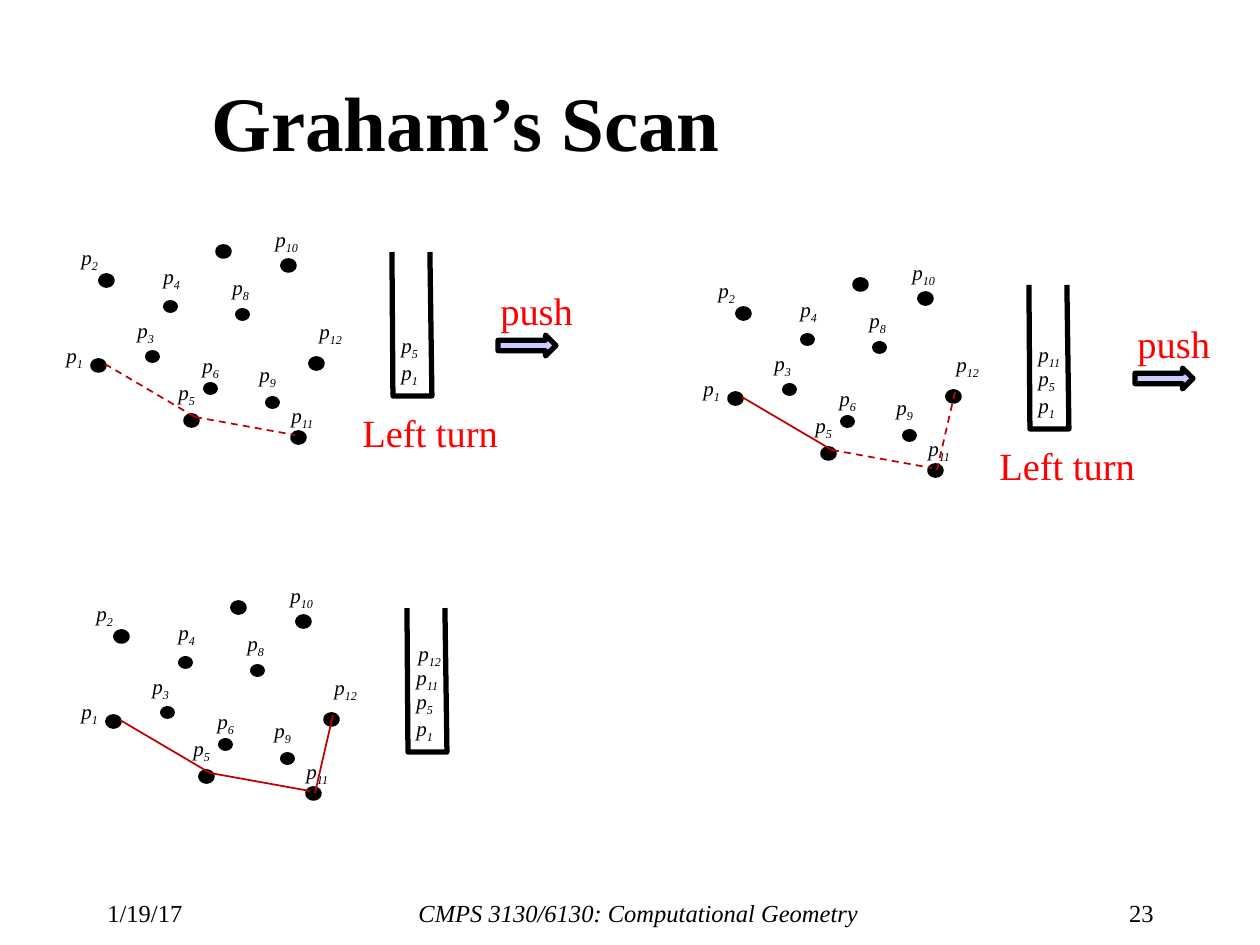
import pptx
import pptx.util
import pptx.dml.color
import pptx.enum.dml
import pptx.enum.shapes
import pptx.enum.text
import pptx.oxml.ns
import lxml.etree

PX = 914400 / 126
BLACK = pptx.dml.color.RGBColor(0x00, 0x00, 0x00)
RED = pptx.dml.color.RGBColor(0xFF, 0x00, 0x00)
CRIMSON = pptx.dml.color.RGBColor(0xC0, 0x00, 0x00)
LAVENDER = pptx.dml.color.RGBColor(0xCC, 0xCC, 0xFF)
ALIGN = pptx.enum.text.PP_ALIGN
ANCHOR = pptx.enum.text.MSO_ANCHOR
SHAPE = pptx.enum.shapes.MSO_SHAPE


def px(*lengths):
    return [pptx.util.Emu(round(length * PX)) for length in lengths]


def write(text, left, top, width, height, size=12, color=BLACK, bold=False, italic=False,
          subscript="", align=ALIGN.LEFT, anchor=ANCHOR.TOP, wrap=False):
    frame = slide.shapes.add_textbox(*px(left, top, width, height)).text_frame
    frame.word_wrap = wrap
    frame.vertical_anchor = anchor
    if not wrap:
        frame.auto_size = pptx.enum.text.MSO_AUTO_SIZE.SHAPE_TO_FIT_TEXT
    paragraph = frame.paragraphs[0]
    paragraph.alignment = align
    for part, baseline in ((text, 0), (subscript, -25000)):
        if part:
            run = paragraph.add_run()
            run.text = part
            run.font.name = "Times New Roman"
            run.font.size = pptx.util.Pt(size)
            run.font.bold = bold
            run.font.italic = italic
            run.font.color.rgb = color
            if baseline:
                run.font._element.set("baseline", str(baseline))


presentation = pptx.Presentation()
presentation.slide_width, presentation.slide_height = px(1260, 945)
slide = presentation.slides.add_slide(presentation.slide_layouts[6])

write("1/19/17", 95, 892, 120, 32, size=14, wrap=True)
write("CMPS 3130/6130: Computational Geometry", 239, 892, 799, 32, size=14, italic=True,
      align=ALIGN.CENTER, wrap=True)
write("23", 1062, 892, 104, 32, size=14, align=ALIGN.RIGHT, wrap=True)
write("Graham’s Scan", 199, 42, 1040, 158, size=44, bold=True, anchor=ANCHOR.MIDDLE, wrap=True)

inner_points = [(165, 302), (267, 398), (205, 384), (237, 310), (147, 352)]
hull_points = [(101, 276), (218, 247), (93, 361), (186, 416), (283, 261), (311, 359), (293, 433)]
point_labels = {
    "1": (54, 336), "2": (69, 238), "3": (125, 311), "4": (151, 257), "5": (166, 373),
    "6": (190, 346), "8": (220, 268), "9": (247, 355), "10": (263, 220), "11": (279, 396),
    "12": (307, 312),
}
stack_labels = {"1": (389, 353), "5": (389, 326), "11": (389, 302), "12": (391, 278)}
stack_outline = [(392, 252), (393, 396), (427, 396), (432, 396), (430, 252)]
chain = [((105, 364), (195, 417)), ((195, 417), (295, 435)), ((300, 437), (318, 359))]
steps = [
    (0, 0, ["1", "5"], [True, True], True),
    (637, 33, ["1", "5", "11"], [False, True, True], True),
    (15, 356, ["1", "5", "11", "12"], [False, False, False], False),
]

for dx, dy, stacked, dashes, pushes in steps:
    for points, outline in ((inner_points, 2.25), (hull_points, 3.25)):
        for x, y in points:
            dot = slide.shapes.add_shape(SHAPE.OVAL, *px(x + dx, y + dy, 11, 9))
            dot.shadow.inherit = False
            dot.fill.solid()
            dot.fill.fore_color.rgb = BLACK
            dot.line.color.rgb = BLACK
            dot.line.width = pptx.util.Pt(outline)

    stack_entries = [(index, stack_labels[index]) for index in stacked]
    for index, (x, y) in list(point_labels.items()) + stack_entries:
        write("p", x + dx, y + dy, 43 if len(index) == 1 else 50, 38, italic=True, subscript=index)

    for ((x1, y1), (x2, y2)), dashed in zip(chain, dashes):
        edge = slide.shapes.add_connector(
            pptx.enum.shapes.MSO_CONNECTOR.STRAIGHT, *px(x1 + dx, y1 + dy, x2 + dx, y2 + dy))
        edge.line.color.rgb = CRIMSON
        edge.line.width = pptx.util.Pt(1)
        if dashed:
            edge.line.dash_style = pptx.enum.dml.MSO_LINE.DASH
        lxml.etree.SubElement(edge._element.spPr, pptx.oxml.ns.qn("a:effectLst"))

    corners = [(x + dx, y + dy) for x, y in stack_outline]
    builder = slide.shapes.build_freeform(*corners[0], scale=PX)
    builder.add_line_segments(corners[1:], close=False)
    stack = builder.convert_to_shape()
    stack.shadow.inherit = False
    stack.fill.background()
    stack.line.color.rgb = BLACK
    stack.line.width = pptx.util.Pt(3)

    if pushes:
        arrow = slide.shapes.add_shape(SHAPE.RIGHT_ARROW, *px(498 + dx, 335 + dy, 58, 21))
        arrow.shadow.inherit = False
        arrow.fill.solid()
        arrow.fill.fore_color.rgb = LAVENDER
        arrow.line.color.rgb = BLACK
        arrow.line.width = pptx.util.Pt(3)
        write("push", 488 + dx, 281 + dy, 98, 59, size=22, color=RED)
        write("Left turn", 350 + dx, 403 + dy, 163, 59, size=22, color=RED)

presentation.save("out.pptx")
